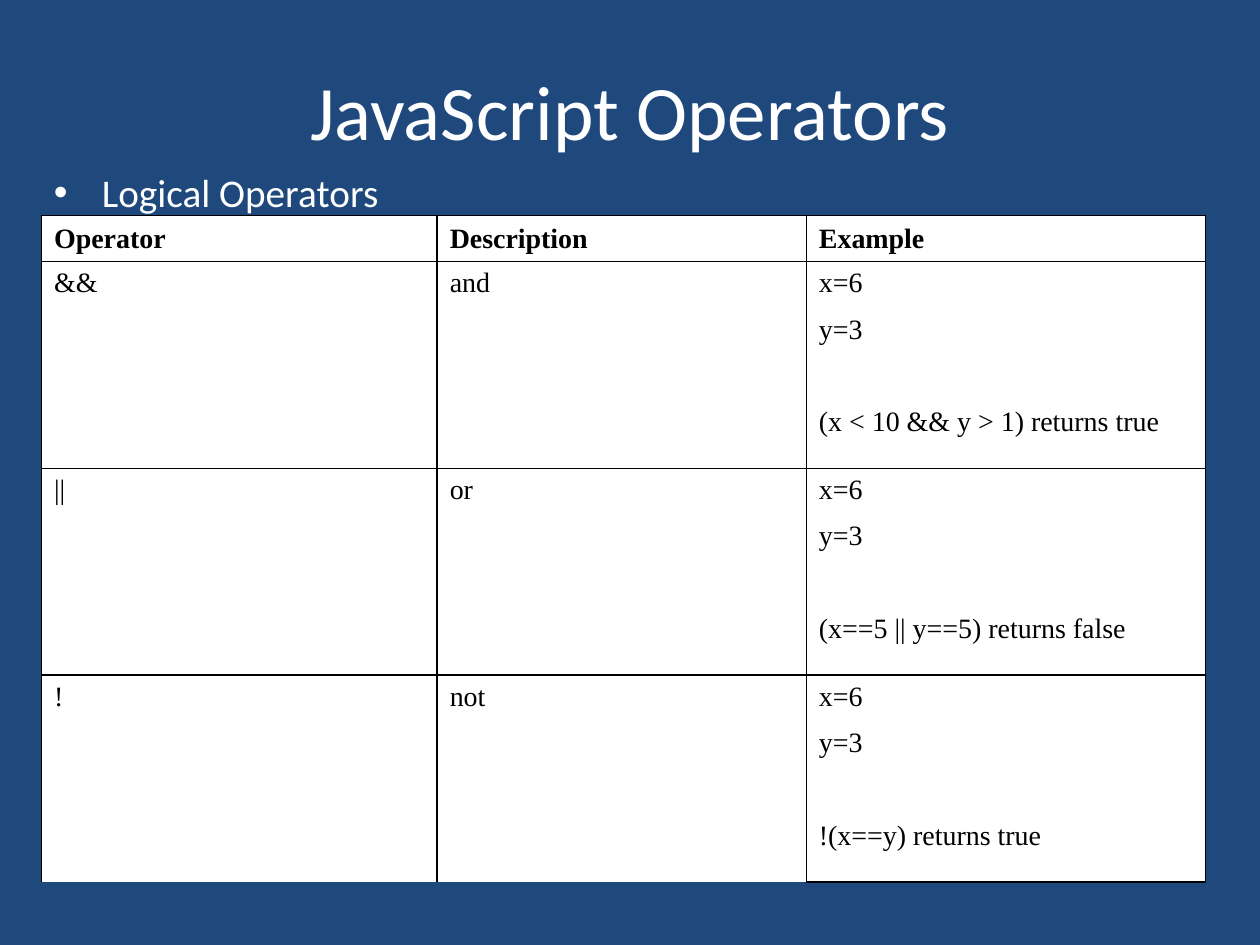
from dataclasses import dataclass

from lxml.etree import SubElement
from pptx import Presentation
from pptx.dml.color import RGBColor
from pptx.enum.text import MSO_ANCHOR, PP_ALIGN
from pptx.oxml.ns import qn
from pptx.util import Inches, Pt

NAVY = RGBColor(0x1F, 0x49, 0x7D)
WHITE = RGBColor(0xFF, 0xFF, 0xFF)
BLACK = RGBColor(0, 0, 0)

WIDE, HIGH = Inches(10), Inches(7.5)
INDENT = Inches(0.38)
LEFT = 3.3
COLS = (31.4, 29.3, 31.7)
ROW, LAST = 4.4, 7.2
HEADS = ("Operator", "Description", "Example")
STEPS = 4  # table rows taken by one operator
BODY = {"name": "Times New Roman", "size": Pt(16), "bold": False}


@dataclass(frozen=True)
class Box:
    """Position and size in percent of the slide."""
    left: float
    top: float
    width: float
    height: float

    def frame(self) -> tuple[int, int, int, int]:
        return (across(self.left), down(self.top),
                across(self.width), down(self.height))


@dataclass(frozen=True)
class Rule:
    sign: str
    word: str
    test: str

    def lines(self) -> tuple[str, ...]:
        return ("x=6", "y=3", "", self.test)


RULES = (
    Rule("&&", "and", "(x < 10 && y > 1) returns true"),
    Rule("||", "or", "(x==5 || y==5) returns false"),
    Rule("!", "not", "!(x==y) returns true"),
)


def across(share: float) -> int:
    return round(WIDE * share / 100)


def down(share: float) -> int:
    return round(HIGH * share / 100)


def style(font, color: RGBColor, form: dict) -> None:
    for key, value in form.items():
        setattr(font, key, value)
    font.color.rgb = color


def hang(para) -> None:
    props = para._p.get_or_add_pPr()
    for key, value in {"marL": INDENT, "indent": -INDENT}.items():
        props.set(key, str(value))


def write(slide, box: Box, text: str, size: float, anchor):
    frame = slide.shapes.add_textbox(*box.frame()).text_frame
    frame.word_wrap = True
    frame.vertical_anchor = anchor
    para = frame.paragraphs[0]
    run = para.add_run()
    run.text = text
    style(run.font, WHITE, {"name": "Calibri", "size": Pt(size)})
    return para


def edge(cell, sides: str) -> None:
    """Rule the named sides (L, R, T, B) and clear the others."""
    props = cell._tc.get_or_add_tcPr()
    for side in "LRTB":
        line = SubElement(props, qn(f"a:ln{side}"), w=str(Pt(1)))
        if side in sides:
            fill = SubElement(line, qn("a:solidFill"))
            SubElement(fill, qn("a:srgbClr"), val=str(BLACK))
        else:
            SubElement(line, qn("a:noFill"))


def put(cell, text: str, sides: str = "LRTB", bold: bool = False) -> None:
    edge(cell, sides)
    cell.fill.solid()
    cell.fill.fore_color.rgb = WHITE
    para = cell.text_frame.paragraphs[0]
    hang(para)
    if text:
        run = para.add_run()
        run.text = text
        style(run.font, BLACK, BODY | {"bold": bold})
    else:  # an empty line keeps the body size
        SubElement(para._p, qn("a:endParaRPr"), sz=str(BODY["size"].pt * 100).split(".")[0])


def chart_rules(slide) -> None:
    """Draw the table of operators."""
    rows = [ROW] + ([ROW] * (STEPS - 1) + [LAST]) * len(RULES)
    box = Box(LEFT, 22.8, sum(COLS), sum(rows))
    grid = slide.shapes.add_table(len(rows), len(COLS), *box.frame()).table
    grid.first_row = grid.horz_banding = False
    for col, share in zip(grid.columns, COLS):
        col.width = across(share)
    for row, share in zip(grid.rows, rows):
        row.height = down(share)

    for col, head in enumerate(HEADS):
        put(grid.cell(0, col), head, bold=True)
        grid.cell(0, col).vertical_anchor = MSO_ANCHOR.MIDDLE
    for index, rule in enumerate(RULES):
        top = 1 + index * STEPS
        end = top + STEPS - 1
        for step, line in enumerate(rule.lines()):
            row = top + step
            sides = "LR" + "T" * (row == top) + "B" * (row == end)
            first = (rule.sign, rule.word) if row == top else ("", "")
            for col, text in enumerate((*first, line)):
                put(grid.cell(row, col), text, sides)
        for col in range(2):
            grid.cell(top, col).merge(grid.cell(end, col))


def main() -> None:
    deck = Presentation()
    deck.slide_width, deck.slide_height = WIDE, HIGH
    slide = deck.slides.add_slide(deck.slide_layouts[6])
    slide.background.fill.solid()
    slide.background.fill.fore_color.rgb = NAVY

    title = write(slide, Box(LEFT, 3.33, 93.4, 16.67),
                  "JavaScript Operators", 44, MSO_ANCHOR.MIDDLE)
    title.alignment = PP_ALIGN.CENTER
    topic = write(slide, Box(LEFT, 17.2, 39.6, 5.73),
                  "Logical Operators", 22.4, MSO_ANCHOR.TOP)
    hang(topic)
    props = topic._p.get_or_add_pPr()
    SubElement(props, qn("a:buFont"), typeface="Arial")
    SubElement(props, qn("a:buChar"), char="•")
    chart_rules(slide)
    deck.save("out.pptx")


if __name__ == "__main__":
    main()
